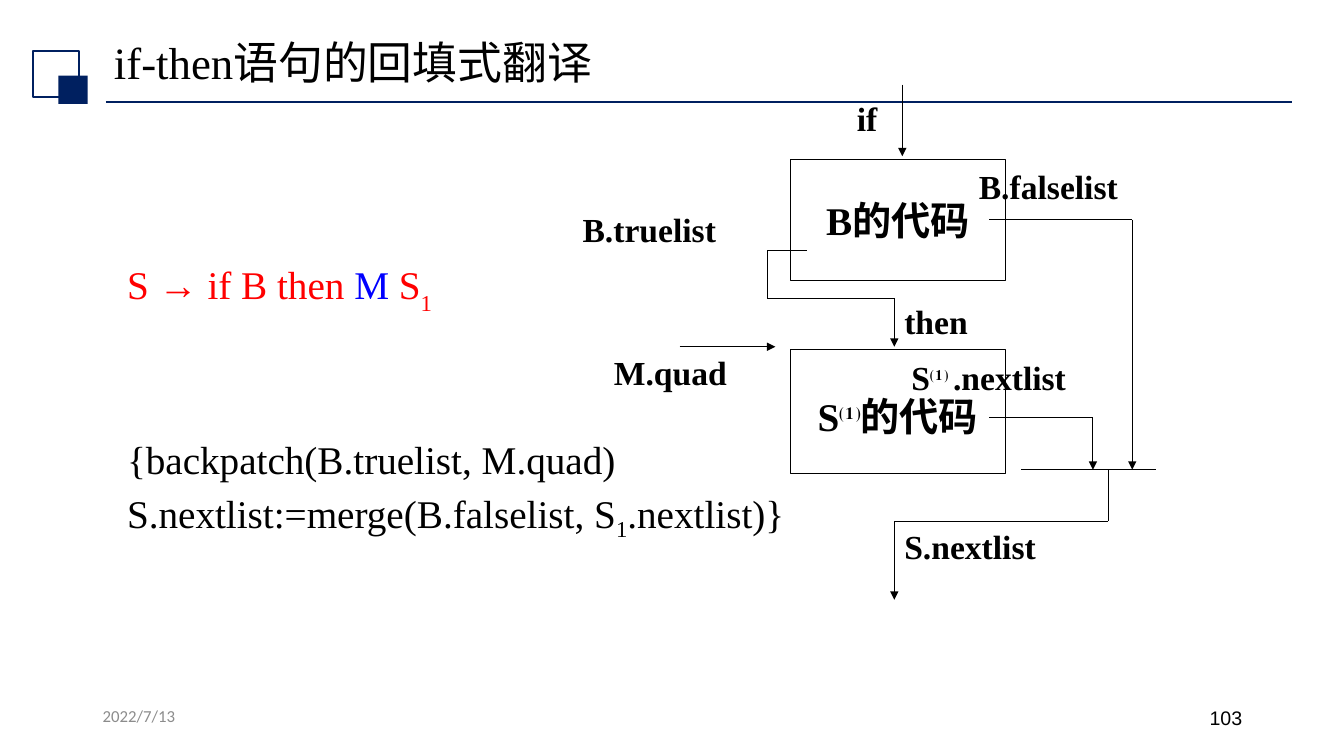
from itertools import pairwise

from lxml import etree
from pptx import Presentation
from pptx.dml.color import RGBColor
from pptx.enum.shapes import MSO_CONNECTOR as Connector, MSO_SHAPE as Shape
from pptx.enum.text import MSO_ANCHOR as Anchor, MSO_AUTO_SIZE as AutoSize, PP_ALIGN as Align
from pptx.oxml.ns import qn
from pptx.util import Inches, Pt

NAVY = RGBColor(0x00, 0x20, 0x60)
BLACK = RGBColor(0x00, 0x00, 0x00)
RED = RGBColor(0xFF, 0x00, 0x00)
BLUE = RGBColor(0x00, 0x00, 0xFF)
GRAY = RGBColor(0x8C, 0x8C, 0x8C)
SERIF = "Times New Roman"


def add_runs(para, runs, size, bold=False, font=SERIF):
    """Append (text, colour, baseline percent) runs to a paragraph."""
    for text, color, baseline in runs:
        span = para.add_run()
        span.text = text
        span.font.name = font
        span.font.size = Pt(size)
        span.font.bold = bold
        span.font.color.rgb = color
        if baseline:
            span._r.get_or_add_rPr().set("baseline", str(baseline * 1000))


def add_line(parent, start, end, color=BLACK, width=0.75, arrow=False):
    """Draw a straight line between two points in inches."""
    line = parent.add_connector(Connector.STRAIGHT, *map(Inches, start + end))
    line.line.color.rgb = color
    line.line.width = Pt(width)
    if arrow:
        outline = line.line._get_or_add_ln()
        etree.SubElement(outline, qn("a:tailEnd"), type="triangle")
    etree.SubElement(line._element.spPr, qn("a:effectLst"))


def add_rectangle(parent, left, top, width, height, line_width=0.0, color=BLACK, fill=None):
    """Draw a plain rectangle, outlined or filled."""
    box = parent.add_shape(Shape.RECTANGLE, *map(Inches, (left, top, width, height)))
    box.shadow.inherit = False
    if fill is None:
        box.fill.background()
        box.line.color.rgb = color
        box.line.width = Pt(line_width)
    else:
        box.fill.solid()
        box.fill.fore_color.rgb = fill
        box.line.fill.background()
    return box


def add_text(page, left, top, width, height, runs, size, bold=False, font=SERIF, align=Align.LEFT):
    """Place a one-paragraph text box."""
    box = page.shapes.add_textbox(*map(Inches, (left, top, width, height)))
    box.text_frame.word_wrap = True
    para = box.text_frame.paragraphs[0]
    para.alignment = align
    add_runs(para, runs, size, bold, font)


def place(holder, left, top, width, height):
    """Move a placeholder and fix its text size."""
    holder.left, holder.top = Inches(left), Inches(top)
    holder.width, holder.height = Inches(width), Inches(height)
    holder.text_frame.word_wrap = True
    holder.text_frame.auto_size = AutoSize.NONE


def build_header(page, left, top):
    """Place the square emblem, the rule and the title."""
    emblem = page.shapes.add_group_shape().shapes
    add_rectangle(emblem, left, top + 0.17, 0.45, 0.45, 1.5, NAVY)
    add_rectangle(emblem, left + 0.25, top + 0.41, 0.29, 0.28, fill=NAVY)
    rule_left, rule_top = left + 0.72, top + 0.67
    add_line(page.shapes, (rule_left, rule_top), (rule_left + 11.76, rule_top), NAVY, 1.25)
    title = page.shapes.title
    place(title, left + 0.7, top, 11.5, 0.61)
    title.text_frame.vertical_anchor = Anchor.MIDDLE
    para = title.text_frame.paragraphs[0]
    para.alignment = Align.LEFT
    para.line_spacing = 0.9
    add_runs(para, [("if-then语句的回填式翻译", BLACK, 0)], 32)


def build_rules(page, left, top, width, height):
    """Fill the body placeholder with the production and its actions."""
    body = page.placeholders[1]
    place(body, left, top, width, height)
    frame = body.text_frame
    frame.vertical_anchor = Anchor.TOP
    frame.margin_top = Inches(1)
    lines = [
        (0, [("S → if B then ", RED, 0), ("M", BLUE, 0), (" S", RED, 0), ("1", RED, -30)]),
        (93, [("{backpatch(B.truelist, M.quad)", BLACK, 0)]),
        (5, [("S.nextlist:=merge(B.falselist, S", BLACK, 0), ("1", BLACK, -25),
             (".nextlist)}", BLACK, 0)]),
    ]
    for index, (gap, runs) in enumerate(lines):
        para = frame.add_paragraph() if index else frame.paragraphs[0]
        para.alignment = Align.JUSTIFY
        para.line_spacing = 0.9
        para.space_before = Pt(gap)
        properties = para._p.get_or_add_pPr()
        properties.set("marL", str(Inches(0.25)))
        properties.set("indent", str(-Inches(0.25)))
        etree.SubElement(properties, qn("a:buNone"))
        add_runs(para, runs, 28)


def build_flow(page, left, top):
    """Draw the code boxes, their jump routes and labels."""
    code_boxes = [
        (0.78, 1.2, 0.05, [("B的代码", BLACK, 0)]),
        (2.67, 1.23, 0.13, [("S", BLACK, 0), ("⑴", BLACK, 30), ("的代码", BLACK, 0)]),
    ]
    for y, height, margin, runs in code_boxes:
        box = add_rectangle(page.shapes, left + 2.24, top + y, 2.13, height, 0.75)
        box.text_frame.vertical_anchor = Anchor.MIDDLE
        box.text_frame.margin_top = Inches(margin)
        para = box.text_frame.paragraphs[0]
        para.alignment = Align.CENTER
        add_runs(para, runs, 28, True)

    routes = [
        (True, [(3.35, 0.04), (3.35, 0.75)]),
        (True, [(4.21, 1.38), (5.63, 1.38), (5.63, 3.86)]),
        (True, [(2.4, 1.69), (2.01, 1.69), (2.01, 2.16), (3.27, 2.16), (3.27, 2.64)]),
        (True, [(4.21, 3.34), (5.24, 3.34), (5.24, 3.86)]),
        (False, [(4.53, 3.86), (5.87, 3.86)]),
        (True, [(5.39, 3.86), (5.39, 4.37), (3.27, 4.37), (3.27, 5.15)]),
        (True, [(1.14, 2.64), (2.09, 2.64)]),
    ]
    for arrow, offsets in routes:
        points = [(left + x, top + y) for x, y in offsets]
        for start, end in pairwise(points):
            add_line(page.shapes, start, end, arrow=arrow and end == points[-1])

    labels = [
        (2.8, 0.12, 0.55, [("if", BLACK, 0)]),
        (0.08, 1.22, 2.24, [("B.truelist", BLACK, 0)]),
        (4.01, 0.8, 2.32, [("B.falselist", BLACK, 0)]),
        (3.27, 4.37, 1.58, [("S.nextlist", BLACK, 0)]),
        (3.34, 2.69, 2.71, [("S", BLACK, 0), ("⑴ ", BLACK, 30), (".nextlist", BLACK, 0)]),
        (3.27, 2.14, 1.18, [("then", BLACK, 0)]),
        (0.39, 2.64, 1.78, [("M.quad", BLACK, 0)]),
    ]
    for x, y, width, runs in labels:
        add_text(page, left + x, top + y, width, 0.5, runs, 24, True)


def build_footer(page, left, top):
    """Place the date and the page number."""
    add_text(page, left, top, 3, 0.4, [("2022/7/13", GRAY, 0)], 12, font="Calibri")
    add_text(page, left + 8.5, top, 3, 0.4, [("103", BLACK, 0)], 14, font="Arial",
             align=Align.RIGHT)


def main():
    """Build and save the slide."""
    deck = Presentation()
    deck.slide_width, deck.slide_height = Inches(13.33), Inches(7.5)
    page = deck.slides.add_slide(deck.slide_layouts[1])
    build_header(page, 0.33, 0.34)
    build_footer(page, 0.92, 6.95)
    build_rules(page, 1.16, 1.58, 10.7, 4.51)
    build_flow(page, 5.6, 0.8)
    deck.save("out.pptx")


if __name__ == "__main__":
    main()
